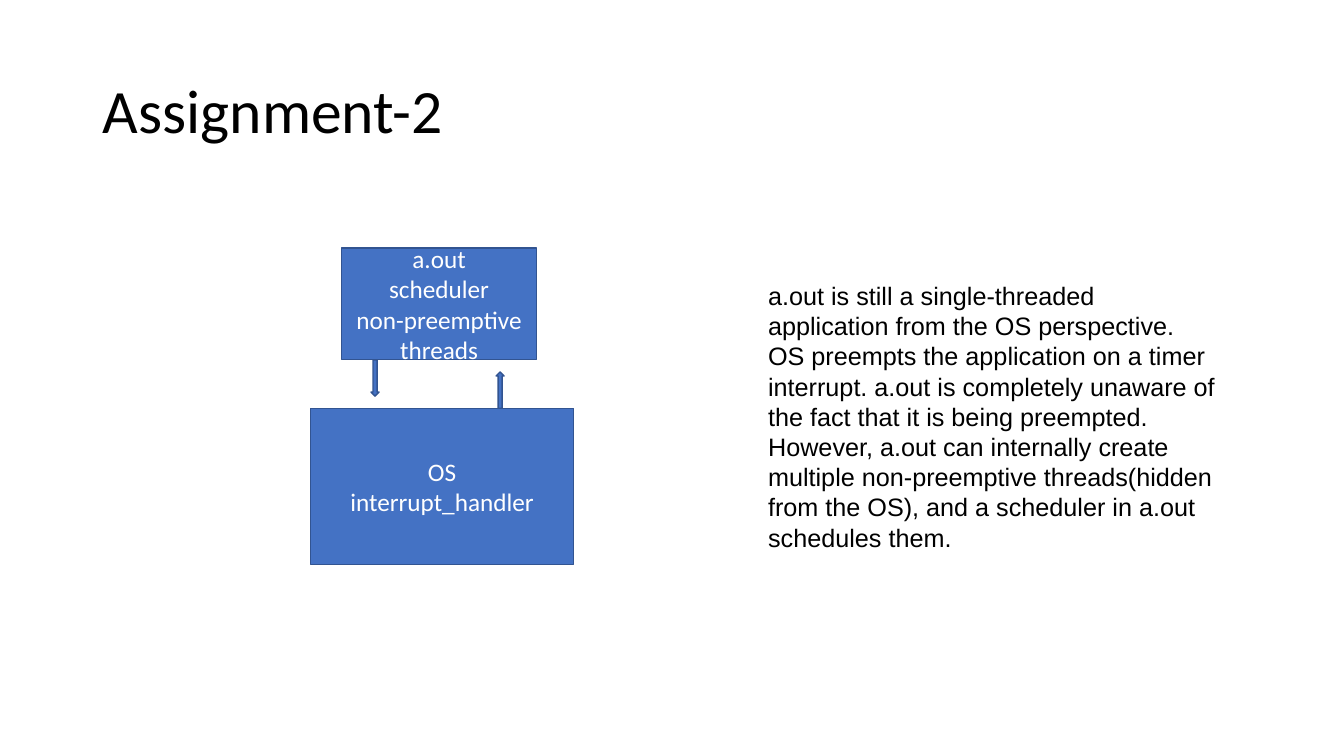
from pptx import Presentation
from pptx.dml.color import RGBColor
from pptx.enum.shapes import MSO_SHAPE as Preset
from pptx.enum.text import MSO_ANCHOR as Anchor, MSO_AUTO_SIZE as AutoSize, PP_ALIGN as Align
from pptx.util import Inches, Pt

TITLE = "Assignment-2"
OS_LINES = ["OS", "interrupt_handler"]
APP_LINES = ["a.out", "scheduler", "non-preemptive threads"]
EXPLANATION = (
    "a.out is still a single-threaded application from the OS perspective. "
    "OS preempts the application on a timer interrupt. "
    "a.out is completely unaware of the fact that it is being preempted. "
    "However, a.out can internally create multiple non-preemptive threads"
    "(hidden from the OS), and a scheduler in a.out schedules them."
)

COLORS = {"fill": "4472C4", "line": "325491", "light": "FFFFFF", "dark": "000000"}

# left, top, width, height in inches
TITLE_BOX = (0.92, 0.4, 11.5, 1.45)
OS_BOX = (3.08, 4.05, 2.61, 1.55)
APP_BOX = (3.39, 2.46, 1.93, 1.11)
EXPLANATION_BOX = (7.52, 2.73, 4.63, 2.83)
ARROW_WIDTH, ARROW_HEIGHT = 0.08, 0.36

# The down arrow leaves the application, the up arrow leaves the OS
DOWN_ARROW = (3.68, APP_BOX[1] + APP_BOX[3], ARROW_WIDTH, ARROW_HEIGHT)
UP_ARROW = (4.92, OS_BOX[1] - ARROW_HEIGHT, ARROW_WIDTH, ARROW_HEIGHT)

DIAGRAM = [
    (Preset.RECTANGLE, OS_BOX, OS_LINES),
    (Preset.RECTANGLE, APP_BOX, APP_LINES),
    (Preset.DOWN_ARROW, DOWN_ARROW, []),
    (Preset.UP_ARROW, UP_ARROW, []),
]


def color(name):
    return RGBColor.from_string(COLORS[name])


def inches(box):
    return [Inches(length) for length in box]


def write(shape, lines, font, anchor, ink, **paragraph_format):
    """Fill a shape with one paragraph per line, all formatted alike."""
    frame = shape.text_frame
    frame.word_wrap = True
    frame.vertical_anchor = anchor
    frame.text = "\n".join(lines)
    for paragraph in frame.paragraphs:
        for name, value in paragraph_format.items():
            setattr(paragraph, name, value)
        for name, value in font.items():
            setattr(paragraph.font, name, value)
        paragraph.font.color.rgb = color(ink)


def add_diagram_part(slide, preset, box, lines):
    shape = slide.shapes.add_shape(preset, *inches(box))
    shape.shadow.inherit = False
    shape.fill.solid()
    shape.fill.fore_color.rgb = color("fill")
    shape.line.color.rgb = color("line")
    shape.line.width = Pt(1)
    if lines:
        font = {"name": "Calibri", "size": Pt(18)}
        write(shape, lines, font, Anchor.MIDDLE, "light", alignment=Align.CENTER)


def main():
    presentation = Presentation()
    presentation.slide_width, presentation.slide_height = Inches(13.33), Inches(7.5)
    slide = presentation.slides.add_slide(presentation.slide_layouts[5])

    title = slide.shapes.title
    title.left, title.top, title.width, title.height = inches(TITLE_BOX)
    write(title, [TITLE], {"name": "Calibri", "size": Pt(44)}, Anchor.MIDDLE, "dark",
          alignment=Align.LEFT, line_spacing=0.9)

    for preset, box, lines in DIAGRAM:
        add_diagram_part(slide, preset, box, lines)

    explanation = slide.shapes.add_textbox(*inches(EXPLANATION_BOX))
    write(explanation, [EXPLANATION], {"name": "Arial", "size": Pt(18)}, Anchor.TOP, "dark")
    explanation.text_frame.auto_size = AutoSize.SHAPE_TO_FIT_TEXT

    presentation.save("out.pptx")


if __name__ == "__main__":
    main()
